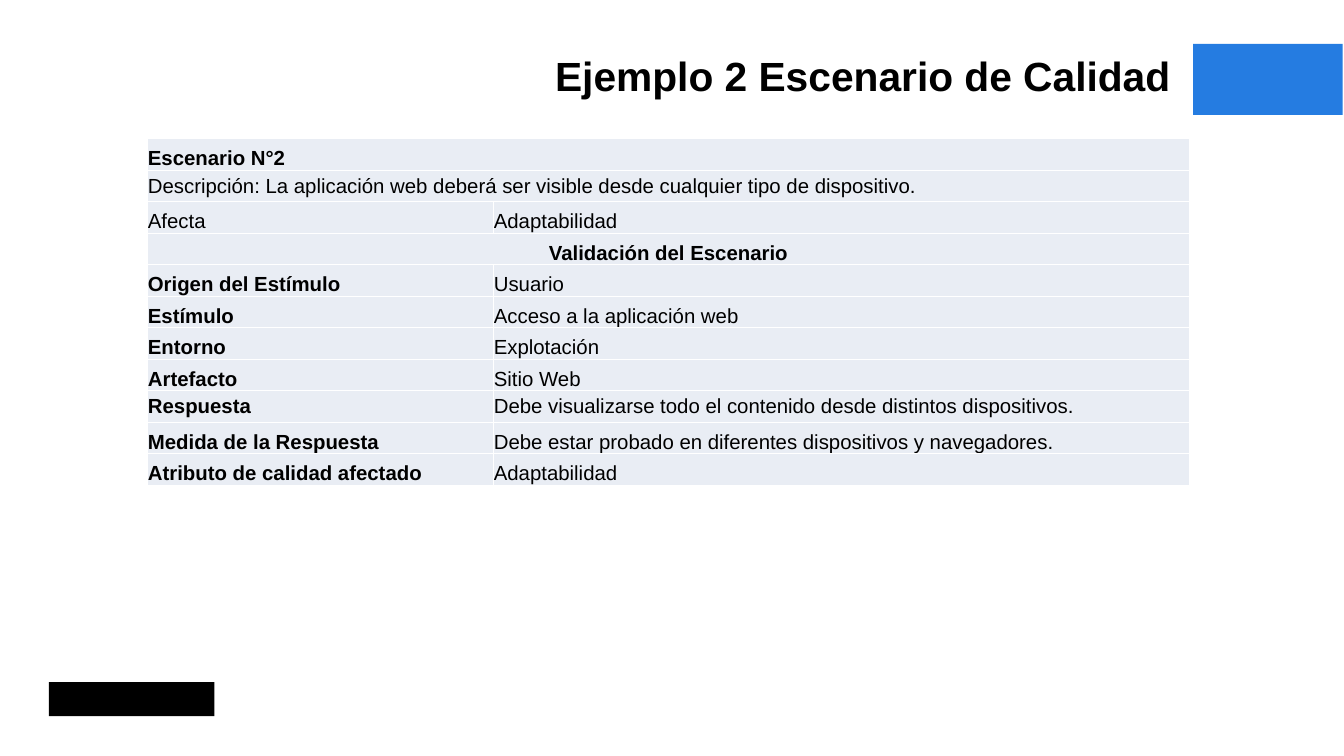
"""Build the slide with the table of the second quality scenario."""
from lxml import etree
from pptx import Presentation
from pptx.dml.color import RGBColor
from pptx.enum import shapes, text
from pptx.oxml import ns
from pptx.util import Inches, Pt

BLACK = RGBColor(0x00, 0x00, 0x00)
BLUE = RGBColor(0x25, 0x7C, 0xE1)
CELL_FILL = RGBColor(0xE9, 0xED, 0xF4)
BORDER = RGBColor(0xFF, 0xFF, 0xFF)
MIDDLE, BOTTOM = text.MSO_ANCHOR.MIDDLE, text.MSO_ANCHOR.BOTTOM
LEFT, CENTER, RIGHT = text.PP_ALIGN.LEFT, text.PP_ALIGN.CENTER, text.PP_ALIGN.RIGHT
JUSTIFY = text.PP_ALIGN.JUSTIFY


def write(frame, words, size, bold, alignment):
    frame.text = words
    paragraph = frame.paragraphs[0]
    paragraph.alignment = alignment
    font = paragraph.runs[0].font
    font.color.rgb = BLACK
    for name, value in {"name": "Arial", "size": Pt(size), "bold": bold}.items():
        setattr(font, name, value)


def add_borders(cell):
    properties = cell._tc.get_or_add_tcPr()
    for index, side in enumerate(("lnL", "lnR", "lnT", "lnB")):
        line = etree.Element(ns.qn(f"a:{side}"), w=str(Pt(1)))
        fill = etree.SubElement(line, ns.qn("a:solidFill"))
        etree.SubElement(fill, ns.qn("a:srgbClr"), val=str(BORDER))
        properties.insert(index, line)


presentation = Presentation()
presentation.slide_width = Inches(21.99)
presentation.slide_height = Inches(12.37)
slide = presentation.slides.add_slide(presentation.slide_layouts[5])

logo_block = (0.8, 11.16, 2.71, 0.56)
title_accent = (19.52, 0.72, 2.45, 1.16)
for box, color in ((logo_block, BLACK), (title_accent, BLUE)):
    shape = slide.shapes.add_shape(shapes.MSO_SHAPE.RECTANGLE, *map(Inches, box))
    shape.shadow.inherit = False
    shape.fill.solid()
    shape.fill.fore_color.rgb = color
    shape.line.fill.background()

title = slide.shapes.title
title_format = {
    "left": Inches(0.8), "top": Inches(0.83),
    "width": Inches(18.36), "height": Inches(0.81),
}
for name, value in title_format.items():
    setattr(title, name, value)
frame_format = {
    "margin_left": 0, "margin_right": 0, "margin_top": 0, "margin_bottom": 0,
    "word_wrap": True, "auto_size": text.MSO_AUTO_SIZE.NONE,
    "vertical_anchor": text.MSO_ANCHOR.TOP,
}
for name, value in frame_format.items():
    setattr(title.text_frame, name, value)
write(title.text_frame, "Ejemplo 2 Escenario de Calidad", 48, True, RIGHT)

rows = [
    (["Escenario N°2"], True, LEFT, BOTTOM),
    (["Descripción: La aplicación web deberá ser visible desde cualquier tipo de dispositivo."],
     False, JUSTIFY, MIDDLE),
    (["Afecta", "Adaptabilidad"], False, LEFT, BOTTOM),
    (["Validación del Escenario"], True, CENTER, BOTTOM),
    (["Origen del Estímulo", "Usuario"], True, LEFT, BOTTOM),
    (["Estímulo", "Acceso a la aplicación web"], True, LEFT, BOTTOM),
    (["Entorno", "Explotación"], True, LEFT, BOTTOM),
    (["Artefacto", "Sitio Web"], True, LEFT, BOTTOM),
    (["Respuesta", "Debe visualizarse todo el contenido desde distintos dispositivos."],
     True, LEFT, MIDDLE),
    (["Medida de la Respuesta", "Debe estar probado en diferentes dispositivos y navegadores."],
     True, LEFT, BOTTOM),
    (["Atributo de calidad afectado", "Adaptabilidad"], True, LEFT, BOTTOM),
]
table = slide.shapes.add_table(
    len(rows), 2, Inches(2.41), Inches(2.27), Inches(17.05), Inches(5.67)).table
table.first_row = False
table.horz_banding = False
for column, width in zip(table.columns, (5.66, 11.39)):
    column.width = Inches(width)

for row_index, (words, bold, alignment, anchor) in enumerate(rows):
    cell_format = {
        "margin_left": Inches(0.01), "margin_right": Inches(0.01),
        "margin_top": Inches(0.01), "margin_bottom": 0, "vertical_anchor": anchor,
    }
    if len(words) == 1:
        table.cell(row_index, 0).merge(table.cell(row_index, 1))
    for column_index, value in enumerate(words):
        cell = table.cell(row_index, column_index)
        for name, setting in cell_format.items():
            setattr(cell, name, setting)
        cell.fill.solid()
        cell.fill.fore_color.rgb = CELL_FILL
        add_borders(cell)
        write(cell.text_frame, value, 24, bold and column_index == 0, alignment)

presentation.save("out.pptx")
